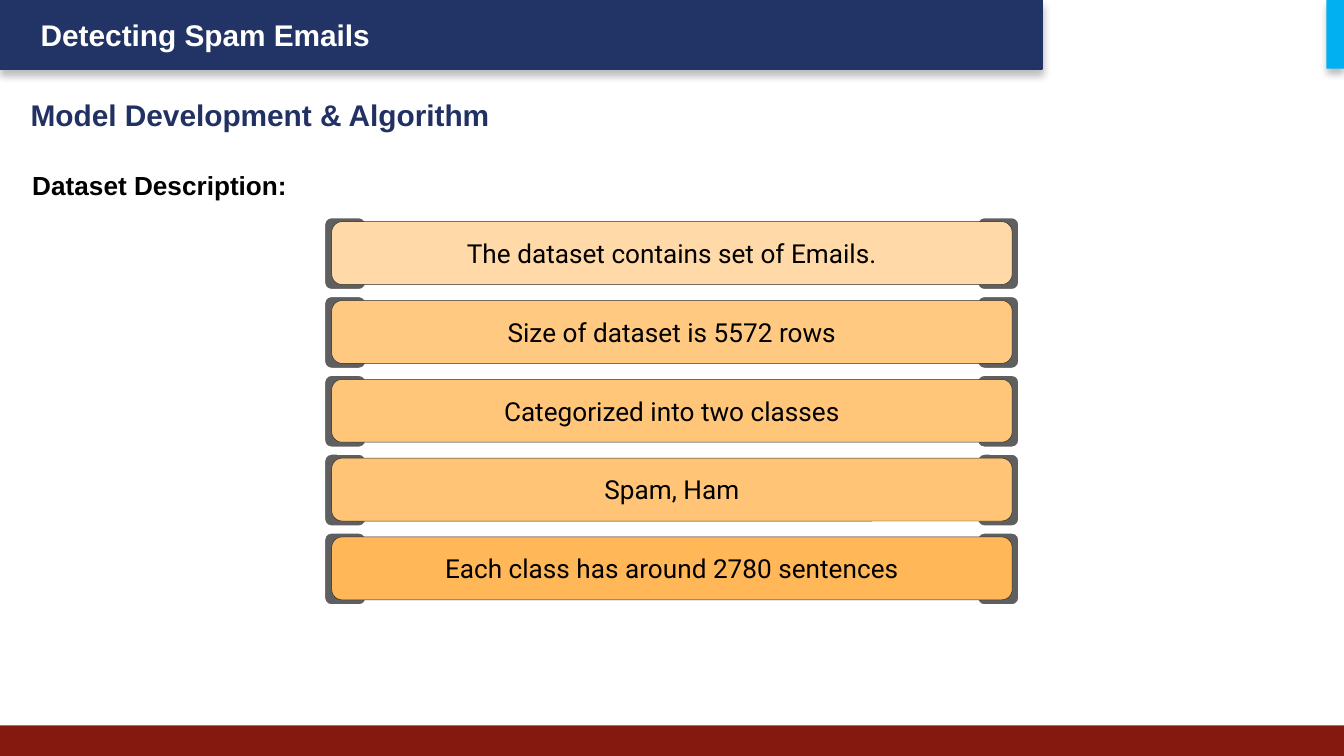
from lxml import etree
from pptx import Presentation
from pptx.dml.color import RGBColor
from pptx.enum.shapes import MSO_SHAPE
from pptx.enum.text import MSO_ANCHOR, PP_ALIGN
from pptx.oxml.ns import qn
from pptx.util import Cm, Pt

RECT = MSO_SHAPE.RECTANGLE
ROUND = MSO_SHAPE.ROUNDED_RECTANGLE
TOP, MIDDLE = MSO_ANCHOR.TOP, MSO_ANCHOR.MIDDLE
LEFT, CENTER = PP_ALIGN.LEFT, PP_ALIGN.CENTER

COLORS = {
    "navy": "223366", "title": "213163", "red": "851910", "cyan": "00B0F0",
    "gray": "5F5F5F", "edge": "2A2A2A", "white": "FFFFFF", "black": "000000",
}
FACTS = [
    ("The dataset contains set of Emails.", "FFD9A7"),
    ("Size of dataset is 5572 rows", "FFC981"),
    ("Categorized into two classes", "FFC679"),
    ("Spam, Ham", "FFC475"),
    ("Each class has around 2780 sentences", "FFB757"),
]


class Deck:
    """Hold the style and the current slide, and draw its elements."""

    def __init__(self):
        self.prs = Presentation()
        self.prs.slide_width, self.prs.slide_height = Cm(25.4), Cm(14.29)
        self.slide = self.prs.slides.add_slide(self.prs.slide_layouts[5])

    def color(self, name):
        return RGBColor.from_string(COLORS.get(name, name))

    def letter(self, shape, text, size, color, font="Arial", bold=True,
               align=LEFT, anchor=TOP, inset=(0.25, 0.25)):
        frame = shape.text_frame
        frame.text = text
        frame.word_wrap = True
        frame.vertical_anchor = anchor
        frame.margin_left = frame.margin_right = Cm(inset[0])
        frame.margin_top = frame.margin_bottom = Cm(inset[1])
        para = frame.paragraphs[0]
        para.alignment = align
        style = para.runs[0].font
        style.name, style.size, style.bold = font, Pt(size), bold
        style.color.rgb = self.color(color)

    def title(self, text, x, y, w, h):
        shape = self.slide.shapes.title
        shape.left, shape.top, shape.width, shape.height = map(Cm, (x, y, w, h))
        self.letter(shape, text, 16, "title")

    def label(self, text, x, y, w, h, size, color, **style):
        shape = self.slide.shapes.add_textbox(Cm(x), Cm(y), Cm(w), Cm(h))
        self.letter(shape, text, size, color, **style)

    def block(self, kind, x, y, w, h, fill, line=None, width=1):
        shape = self.slide.shapes.add_shape(kind, Cm(x), Cm(y), Cm(w), Cm(h))
        shape.shadow.inherit = False
        shape.fill.solid()
        shape.fill.fore_color.rgb = self.color(fill)
        if line:
            shape.line.color.rgb = self.color(line)
            shape.line.width = Pt(width)
        else:
            shape.line.fill.background()
        return shape

    def shade(self, shape):
        effects = shape.element.spPr.find(qn("a:effectLst"))
        outer = etree.SubElement(
            effects, qn("a:outerShdw"), blurRad=str(Pt(4)), dist=str(Pt(3)),
            dir="5400000", algn="t", rotWithShape="0")
        tint = etree.SubElement(outer, qn("a:srgbClr"), val=COLORS["black"])
        etree.SubElement(tint, qn("a:alpha"), val="25000")

    def fact(self, text, fill, y):
        for x in (6.13, 18.47):
            self.block(ROUND, x, y - 0.08, 0.79, 1.37, "gray", "white")
        bar = self.block(ROUND, 6.27, y, 12.86, 1.19, fill, "edge", 0.25)
        self.letter(bar, text, 14, "black", font="Roboto", bold=False,
                    align=CENTER, anchor=MIDDLE, inset=(0.25, 0.13))


def main():
    deck = Deck()
    deck.shade(deck.block(RECT, 0, 0, 19.69, 1.3, "navy", "navy"))
    deck.block(RECT, 0, 13.71, 25.4, 0.58, "red")
    deck.label("Detecting Spam Emails", 0.36, 0.18, 10.8, 0.94, 16, "white",
               inset=(0.41, 0.13))
    deck.shade(deck.block(RECT, 25.07, 0, 0.33, 1.3, "cyan"))
    deck.title("Model Development & Algorithm", 0.33, 1.57, 12.37, 1.19)
    deck.label("Dataset Description:", 0.36, 2.95, 12.19, 1.4, 14, "black")
    for row, (text, fill) in enumerate(FACTS):
        deck.fact(text, fill, 4.19 + 1.49 * row)
    deck.prs.save("out.pptx")


if __name__ == "__main__":
    main()
